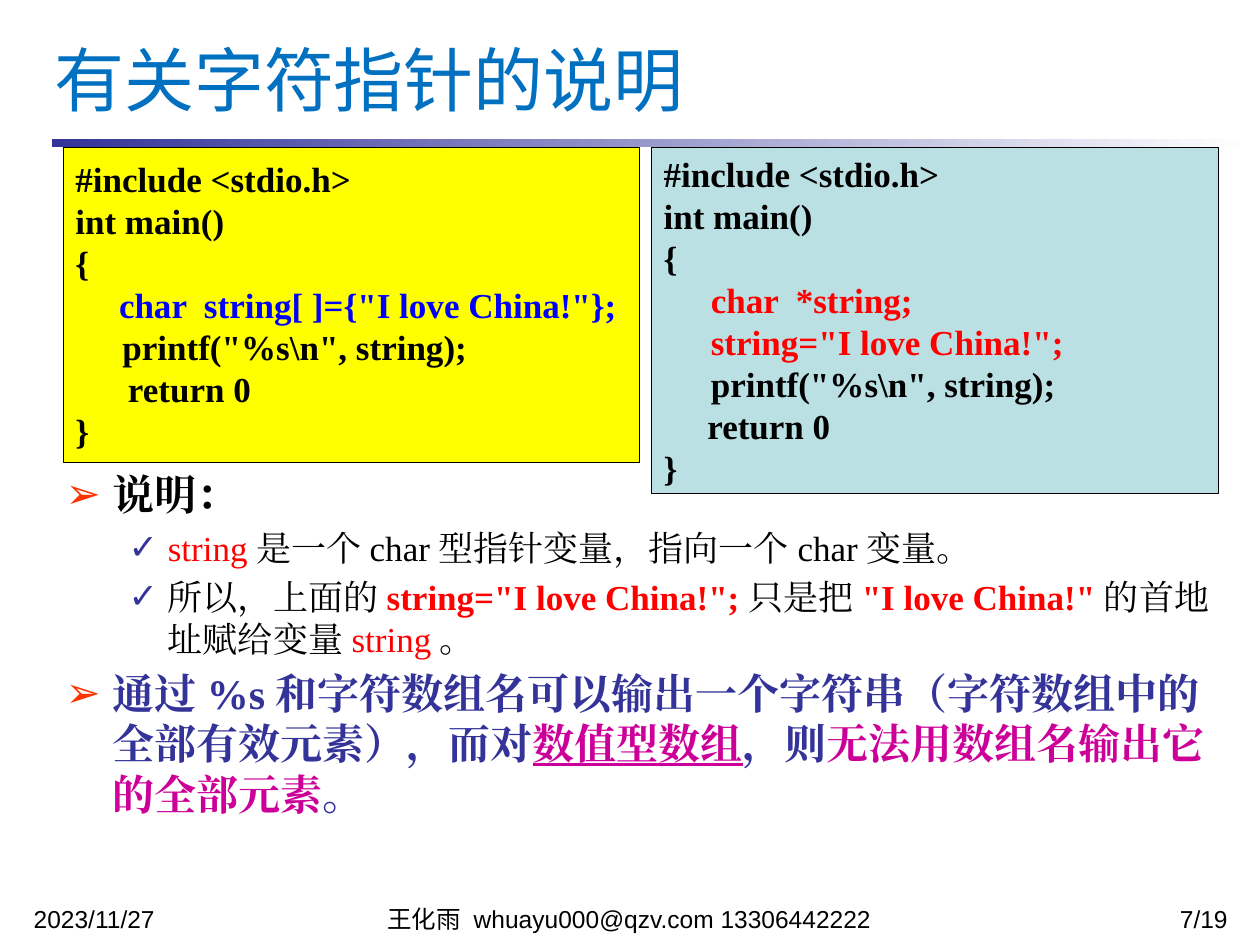
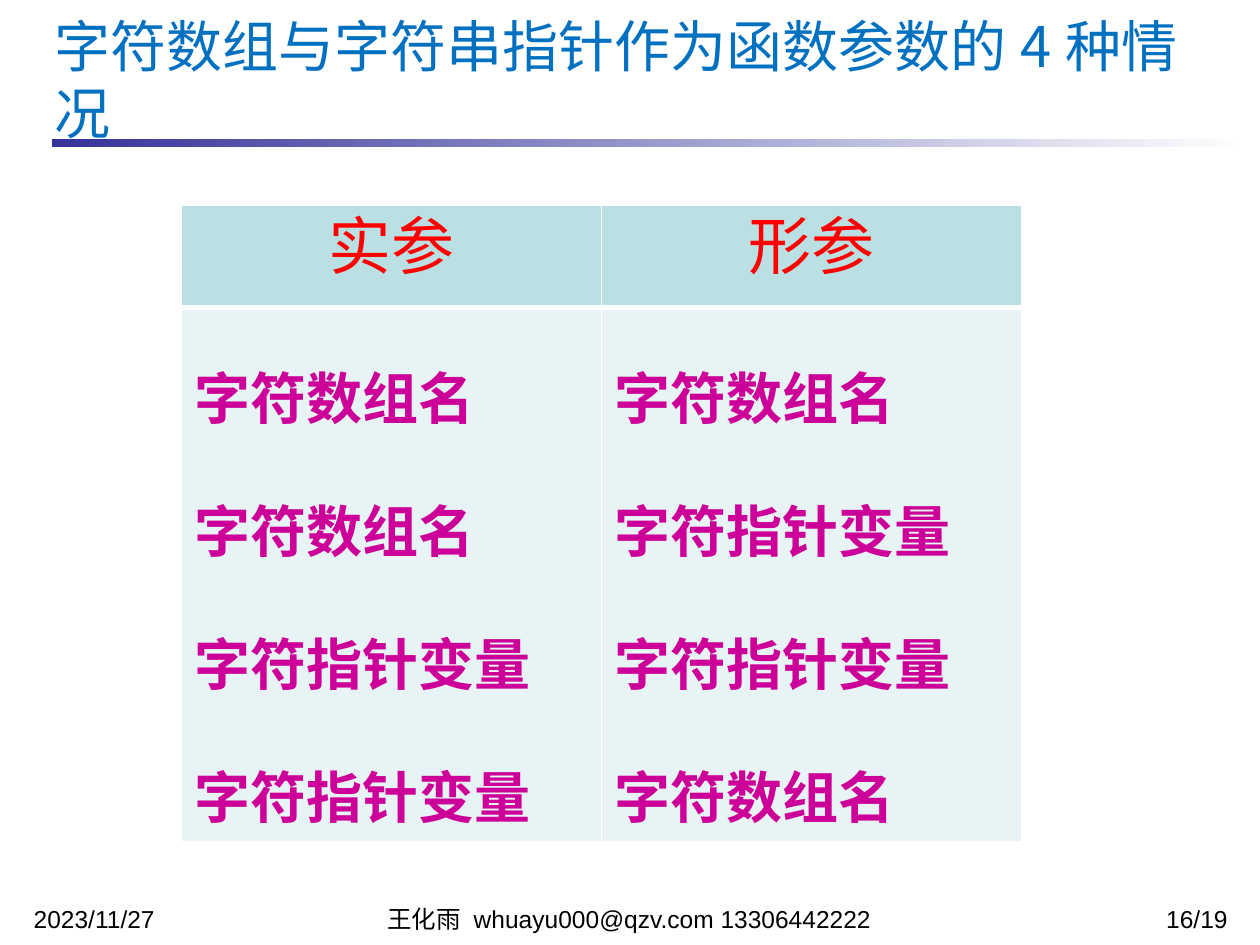
from dataclasses import dataclass

from pptx import Presentation
from pptx.dml.color import RGBColor
from pptx.enum.shapes import MSO_SHAPE
from pptx.enum.text import MSO_ANCHOR, MSO_AUTO_SIZE, PP_ALIGN
from pptx.oxml.ns import qn
from pptx.util import Cm, Pt
from lxml import etree

RECTANGLE = MSO_SHAPE.RECTANGLE
LEFT, CENTER, RIGHT = PP_ALIGN.LEFT, PP_ALIGN.CENTER, PP_ALIGN.RIGHT
TOP, MIDDLE = MSO_ANCHOR.TOP, MSO_ANCHOR.MIDDLE
NO_AUTOFIT = MSO_AUTO_SIZE.NONE
TITLE_AND_CONTENT, TITLE_ONLY = 1, 5


@dataclass(frozen=True)
class Theme:
    black: str = "000000"
    white: str = "FFFFFF"
    title: str = "0070C0"
    navy: str = "333399"
    red: str = "FF0000"
    blue: str = "0000FF"
    magenta: str = "CC0099"
    arrow: str = "FF3300"
    yellow: str = "FFFF00"
    teal: str = "BBE0E3"
    pale_teal: str = "E7F3F4"
    title_size: int = 40
    long_title_size: int = 32
    header_size: int = 36
    cell_size: int = 32
    list_size: int = 24
    text_size: int = 20
    footer_size: int = 14
    sans: str = "Arial"
    serif: str = "Times New Roman"
    chinese: str = "Noto Sans CJK SC"


THEME = Theme()


def set_all(target, values):
    for name, value in values.items():
        setattr(target, name, value)


def add_element(parent, tag, **attributes):
    return etree.SubElement(parent, qn(tag), attributes)


def add_color(parent, color):
    add_element(add_element(parent, "a:solidFill"), "a:srgbClr", val=color)


class Deck:
    def __init__(self, theme):
        self.theme = theme
        self.presentation = Presentation()
        set_all(self.presentation, {"slide_width": Cm(25.4), "slide_height": Cm(19.05)})
        self.slide = None

    def add_slide(self, layout, title, size, page):
        layouts = self.presentation.slide_layouts
        self.slide = self.presentation.slides.add_slide(layouts[layout])
        for placeholder in list(self.slide.placeholders):
            if placeholder.placeholder_format.idx > 1:
                placeholder.element.getparent().remove(placeholder.element)
        self.add_band()
        self.add_footers(page)
        shape = self.slide.shapes.title
        self.place(shape, 0.84, 0.64, 23.72, 1.9)
        self.format_frame(shape.text_frame, MIDDLE)
        paragraph = shape.text_frame.paragraphs[0]
        paragraph.alignment = LEFT
        self.add_run(paragraph, title, self.theme.chinese, size, self.theme.title)

    def place(self, shape, left, top, width, height):
        set_all(shape, {"left": Cm(left), "top": Cm(top),
                        "width": Cm(width), "height": Cm(height)})

    def format_frame(self, frame, anchor):
        set_all(frame, {"word_wrap": True, "auto_size": NO_AUTOFIT,
                        "vertical_anchor": anchor})

    def add_run(self, paragraph, text, name, size, color, bold=False, underline=False):
        run = paragraph.add_run()
        run.text = text
        set_all(run.font, {"name": name, "size": Pt(size), "bold": bold,
                           "underline": underline})
        run.font.color.rgb = RGBColor.from_string(color)
        add_element(run.font._element, "a:ea", typeface=name)

    def next_paragraph(self, frame, index):
        return frame.add_paragraph() if index else frame.paragraphs[0]

    def set_indent(self, paragraph, margin, hanging=0):
        properties = paragraph._p.get_or_add_pPr()
        properties.set("marL", str(Cm(margin)))
        properties.set("indent", str(-Cm(hanging)))
        return properties

    def add_band(self):
        band = self.slide.shapes.add_shape(RECTANGLE, Cm(1.04), Cm(2.8), Cm(24.16), Cm(0.16))
        band.shadow.inherit = False
        band.line.fill.background()
        band.fill.gradient()
        band.fill.gradient_angle = 0
        colors = (self.theme.navy, self.theme.white)
        for stop, color in zip(band.fill.gradient_stops, colors):
            stop.color.rgb = RGBColor.from_string(color)

    def add_footers(self, page):
        footers = (
            (0.43, 5.92, LEFT, "2023/11/27"),
            (6.55, 12.27, CENTER, "王化雨 whuayu000@qzv.com 13306442222"),
            (20.12, 4.88, RIGHT, f"{page}/19"),
        )
        for left, width, alignment, text in footers:
            box = self.slide.shapes.add_textbox(Cm(left), Cm(18.21), Cm(width), Cm(0.46))
            self.format_frame(box.text_frame, TOP)
            paragraph = box.text_frame.paragraphs[0]
            size = self.theme.footer_size
            set_all(paragraph, {"alignment": alignment, "line_spacing": 0.8,
                                "space_before": Pt(size * 0.2)})
            self.add_run(paragraph, text, self.theme.sans, size, self.theme.black)

    def add_list(self, items):
        theme = self.theme
        levels = (
            (theme.list_size, 0.95, 0.95, "➢", theme.arrow),
            (theme.text_size, 2.06, 0.79, "✓", theme.navy),
        )
        body = self.slide.placeholders[1]
        self.place(body, 1.07, 9.32, 23.72, 7.82)
        self.format_frame(body.text_frame, TOP)
        for index, (level, runs) in enumerate(items):
            size, margin, hanging, bullet, bullet_color = levels[level]
            paragraph = self.next_paragraph(body.text_frame, index)
            set_all(paragraph, {"level": level, "space_before": Pt(size * 0.2)})
            properties = self.set_indent(paragraph, margin, hanging)
            add_element(add_element(properties, "a:buClr"), "a:srgbClr", val=bullet_color)
            add_element(properties, "a:buChar", char=bullet)
            for text, color, *styles in runs:
                self.add_run(paragraph, text, theme.serif, size, color,
                             bold="bold" in styles, underline="underline" in styles)

    def add_code(self, left, width, height, fill, lines):
        shape = self.slide.shapes.add_shape(RECTANGLE, Cm(left), Cm(2.97), Cm(width), Cm(height))
        shape.shadow.inherit = False
        shape.fill.solid()
        shape.fill.fore_color.rgb = RGBColor.from_string(fill)
        shape.line.color.rgb = RGBColor.from_string(self.theme.black)
        shape.line.width = Pt(0.5)
        self.format_frame(shape.text_frame, MIDDLE)
        for index, (margin, text, color) in enumerate(lines):
            paragraph = self.next_paragraph(shape.text_frame, index)
            paragraph.alignment = LEFT
            self.set_indent(paragraph, margin)
            self.add_run(paragraph, text, self.theme.serif, self.theme.text_size,
                         color, bold=True)

    def add_table(self, columns):
        theme = self.theme
        frame = self.slide.shapes.add_table(2, len(columns), Cm(3.66), Cm(4.13),
                                            Cm(16.93), Cm(12.16))
        table = frame.table
        set_all(table, {"first_row": False, "horz_banding": False})
        for row, height in zip(table.rows, (2.07, 10.09)):
            row.height = Cm(height)
        for column, (header, entries) in enumerate(columns):
            self.fill_cell(table.cell(0, column), [header], theme.teal, CENTER, 0.8,
                           theme.header_size, theme.red, False)
            self.fill_cell(table.cell(1, column), entries, theme.pale_teal, LEFT, 1.5,
                           theme.cell_size, theme.magenta, True)
            for row in range(2):
                self.add_borders(table.cell(row, column), row)

    def fill_cell(self, cell, texts, fill, alignment, spacing, size, color, bold):
        cell.fill.solid()
        cell.fill.fore_color.rgb = RGBColor.from_string(fill)
        for index, text in enumerate(texts):
            paragraph = self.next_paragraph(cell.text_frame, index)
            set_all(paragraph, {"alignment": alignment, "line_spacing": spacing,
                                "space_before": Pt(size * 0.2)})
            self.add_run(paragraph, text, self.theme.chinese, size, color, bold)

    def add_borders(self, cell, row):
        properties = cell._tc.get_or_add_tcPr()
        widths = {"a:lnL": 1, "a:lnR": 1, "a:lnT": 3 if row else 1, "a:lnB": 1 if row else 3}
        for position, (tag, width) in enumerate(widths.items()):
            border = add_element(properties, tag, w=str(Pt(width)))
            add_color(border, self.theme.white)
            properties.insert(position, border)


def build_pointer_notes(deck):
    theme = deck.theme
    deck.add_slide(TITLE_AND_CONTENT, "有关字符指针的说明", theme.title_size, 7)
    deck.add_list([
        (0, [("说明：", theme.black, "bold")]),
        (1, [("string", theme.red),
             ("是一个char型指针变量，指向一个char变量。", theme.black)]),
        (1, [("所以，上面的", theme.black),
             ('string="I love China!";', theme.red, "bold"),
             ("只是把", theme.black),
             ('"I love China!"', theme.red, "bold"),
             ("的首地址赋给变量", theme.black),
             ("string", theme.red),
             ("。", theme.black)]),
        (0, [("通过%s和字符数组名可以输出一个字符串（字符数组中的全部有效元素），而对",
              theme.navy, "bold"),
             ("数值型数组", theme.magenta, "bold", "underline"),
             ("，则", theme.navy, "bold"),
             ("无法用数组名输出它的全部元素", theme.magenta, "bold"),
             ("。", theme.navy, "bold")]),
    ])
    opening = [(0, text, theme.black) for text in ("#include <stdio.h>", "int main()", "{")]
    print_line = (0.95, 'printf("%s\\n", string);', theme.black)
    closing = (0, "}", theme.black)
    deck.add_code(1.27, 11.63, 6.35, theme.yellow, [
        *opening,
        (0.88, 'char  string[ ]={"I love China!"};', theme.blue),
        print_line,
        (1.06, "return 0", theme.black),
        closing,
    ])
    deck.add_code(13.13, 11.43, 6.98, theme.teal, [
        *opening,
        (0.95, "char  *string;", theme.red),
        (0.95, 'string="I love China!";', theme.red),
        print_line,
        (0.88, "return 0", theme.black),
        closing,
    ])


def build_parameter_cases(deck):
    deck.add_slide(TITLE_ONLY, "字符数组与字符串指针作为函数参数的4种情况",
                   deck.theme.long_title_size, 16)
    array, pointer = "字符数组名", "字符指针变量"
    deck.add_table([
        ("实参", [array, array, pointer, pointer]),
        ("形参", [array, pointer, pointer, array]),
    ])


def main():
    deck = Deck(THEME)
    build_pointer_notes(deck)
    build_parameter_cases(deck)
    deck.presentation.save("out.pptx")


if __name__ == "__main__":
    main()
